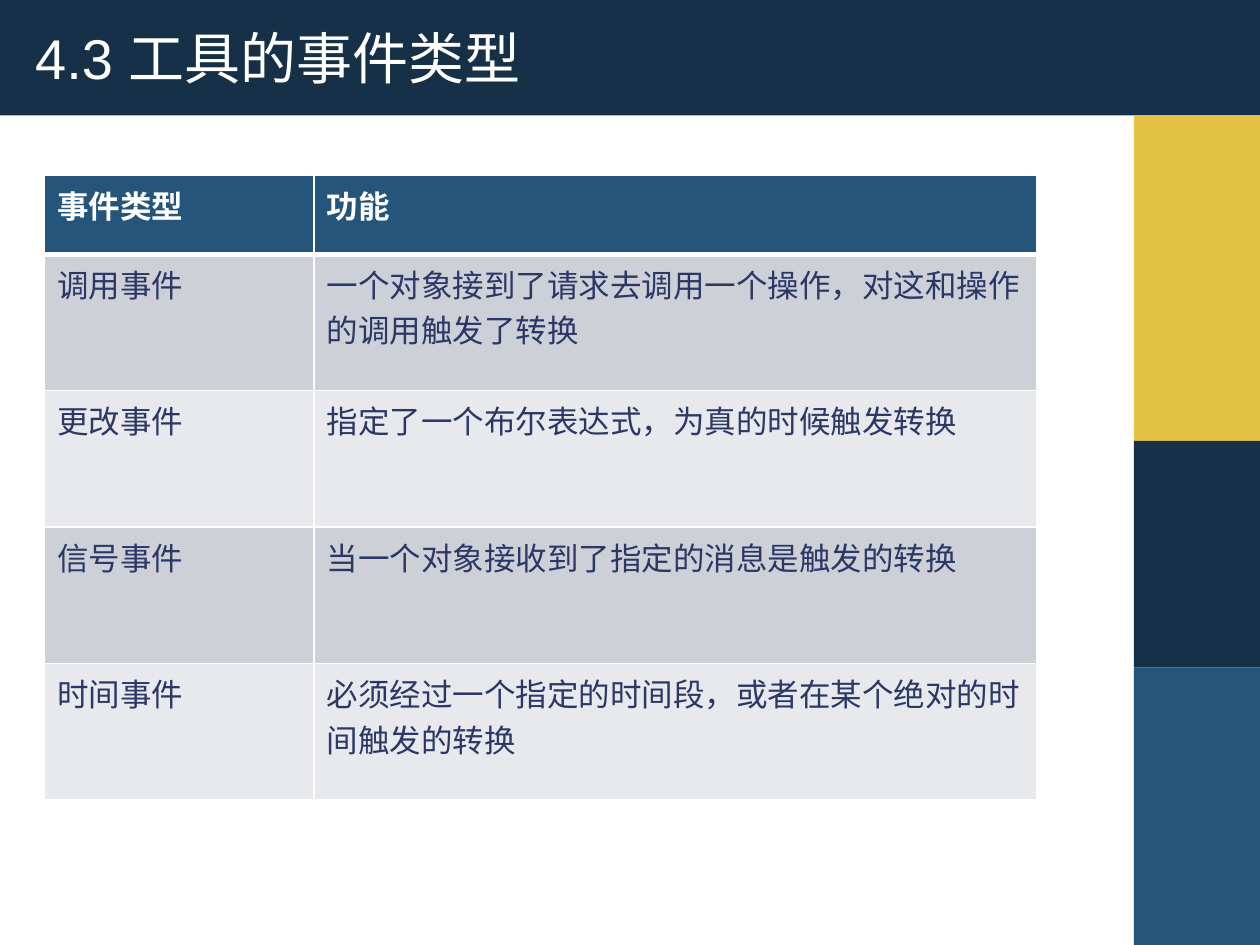
from lxml import etree
from pptx import Presentation
from pptx.dml.color import RGBColor
from pptx.enum import shapes, text
from pptx.oxml import ns
from pptx.util import Pt

NAVY = RGBColor(0x15, 0x30, 0x47)
BLUE = RGBColor(0x25, 0x55, 0x7B)
YELLOW = RGBColor(0xE4, 0xC2, 0x44)
WHITE = RGBColor(0xFF, 0xFF, 0xFF)
INK = RGBColor(0x2C, 0x37, 0x66)
BANDS = (RGBColor(0xCD, 0xD1, 0xD7), RGBColor(0xE8, 0xE9, 0xEC))
FONT = "Arial"

WIDTH, HEIGHT = 720, 540
HEADER_HEIGHT = 66
SIDE_LEFT = 648
SIDE_BLOCKS = ((YELLOW, 252), (NAVY, 381.6), (BLUE, HEIGHT))  # colour, bottom

COLUMN_WIDTHS = (154, 413)
HEADING_HEIGHT, ROW_HEIGHT = 45, 78
EVENTS = (
    ("事件类型", "功能"),
    ("调用事件", "一个对象接到了请求去调用一个操作，对这和操作的调用触发了转换"),
    ("更改事件", "指定了一个布尔表达式，为真的时候触发转换"),
    ("信号事件", "当一个对象接收到了指定的消息是触发的转换"),
    ("时间事件", "必须经过一个指定的时间段，或者在某个绝对的时间触发的转换"),
)


def add_block(slide, left, top, width, height, color):
    shape = slide.shapes.add_shape(
        shapes.MSO_SHAPE.RECTANGLE, Pt(left), Pt(top), Pt(width), Pt(height))
    shape.shadow.inherit = False
    shape.fill.solid()
    shape.fill.fore_color.rgb = color
    shape.line.fill.background()


def set_font(paragraph, size, color, bold=False):
    font = paragraph.font
    font.name = FONT
    font.size = Pt(size)
    font.bold = bold
    font.color.rgb = color


def add_title(slide, title):
    box = slide.shapes.add_textbox(Pt(13), Pt(13.7), Pt(558), Pt(38))
    frame = box.text_frame
    frame.word_wrap = True
    frame.vertical_anchor = text.MSO_ANCHOR.MIDDLE
    frame.text = title
    set_font(frame.paragraphs[0], 32, WHITE)


def add_borders(cell, top, bottom):
    """Draw white cell borders; call before the cell's fill is set."""
    properties = cell._tc.get_or_add_tcPr()
    for side, width in (("L", 1), ("R", 1), ("T", top), ("B", bottom)):
        line = etree.SubElement(properties, ns.qn(f"a:ln{side}"), w=str(Pt(width)))
        fill = etree.SubElement(line, ns.qn("a:solidFill"))
        etree.SubElement(fill, ns.qn("a:srgbClr"), val=str(WHITE))


def add_event_table(slide, left, top):
    height = HEADING_HEIGHT + ROW_HEIGHT * (len(EVENTS) - 1)
    table = slide.shapes.add_table(
        len(EVENTS), len(COLUMN_WIDTHS),
        Pt(left), Pt(top), Pt(sum(COLUMN_WIDTHS)), Pt(height)).table
    for column, width in zip(table.columns, COLUMN_WIDTHS):
        column.width = Pt(width)
    for index, event in enumerate(EVENTS):
        heading = index == 0
        table.rows[index].height = Pt(HEADING_HEIGHT if heading else ROW_HEIGHT)
        for column, words in enumerate(event):
            cell = table.cell(index, column)
            add_borders(cell, 3 if index == 1 else 1, 3 if heading else 1)
            cell.fill.solid()
            cell.fill.fore_color.rgb = BLUE if heading else BANDS[(index - 1) % 2]
            cell.text = words
            set_font(cell.text_frame.paragraphs[0], 18,
                     WHITE if heading else INK, heading)


def main():
    presentation = Presentation()
    presentation.slide_width = Pt(WIDTH)
    presentation.slide_height = Pt(HEIGHT)
    slide = presentation.slides.add_slide(presentation.slide_layouts[6])

    add_block(slide, 0, 0, WIDTH, HEADER_HEIGHT, NAVY)
    top = HEADER_HEIGHT
    for color, bottom in SIDE_BLOCKS:
        add_block(slide, SIDE_LEFT, top, WIDTH - SIDE_LEFT, bottom - top, color)
        top = bottom
    add_title(slide, "4.3 工具的事件类型")
    add_event_table(slide, 25.5, 100.3)
    presentation.save("out.pptx")


if __name__ == "__main__":
    main()
